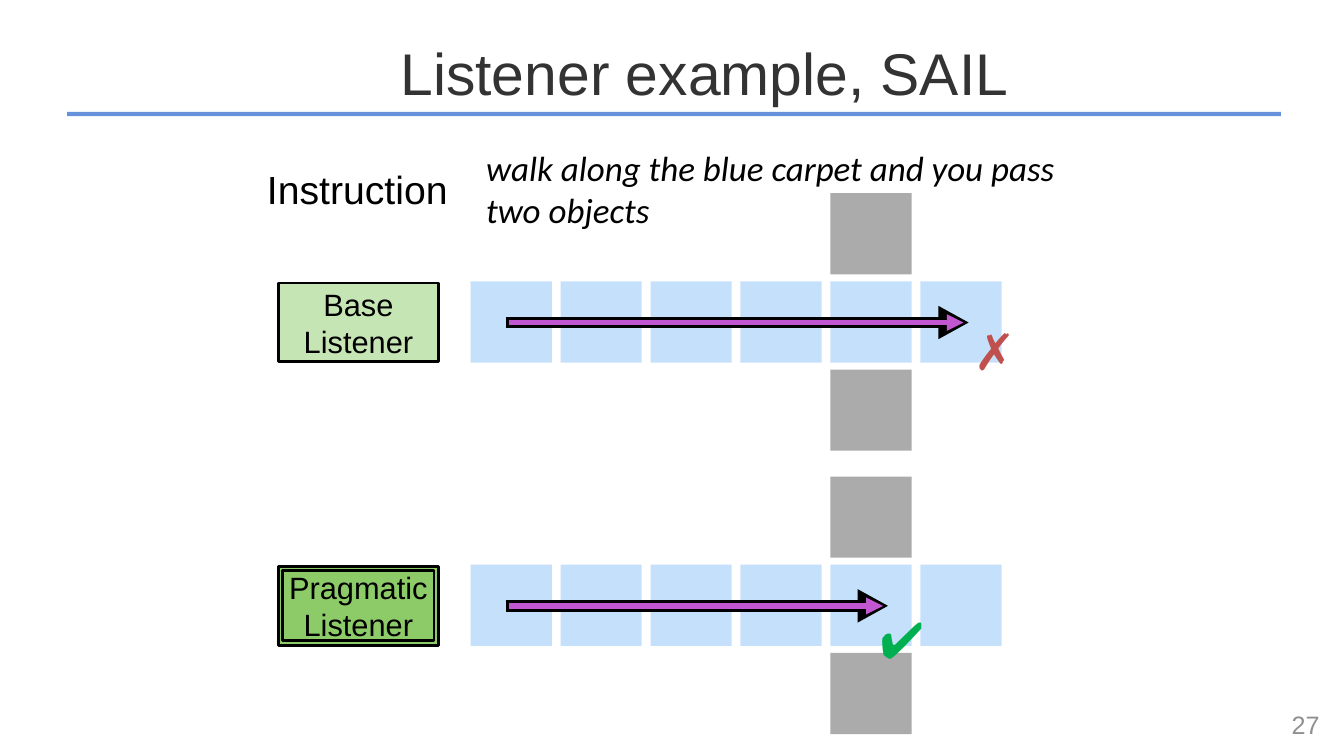
from dataclasses import dataclass
from typing import Any

import pptx
import pptx.dml.color
import pptx.enum.shapes
import pptx.enum.text
import pptx.oxml.ns
import pptx.oxml.xmlchemy
import pptx.util

Pt = pptx.util.Pt
RGBColor = pptx.dml.color.RGBColor
ALIGN = pptx.enum.text.PP_ALIGN
RECTANGLE = pptx.enum.shapes.MSO_SHAPE.RECTANGLE
STRAIGHT = pptx.enum.shapes.MSO_CONNECTOR.STRAIGHT

BLACK = RGBColor(0x00, 0x00, 0x00)
TITLE_GREY = RGBColor(0x33, 0x33, 0x33)
NUMBER_GREY = RGBColor(0x90, 0x90, 0x90)
RULE_BLUE = RGBColor(0x66, 0x92, 0xDC)
CARPET_BLUE = RGBColor(0xA6, 0xD1, 0xFA)
HALL_GREY = RGBColor(0x80, 0x80, 0x80)
BASE_GREEN = RGBColor(0xC6, 0xE5, 0xB4)
PRAGMATIC_GREEN = RGBColor(0x8D, 0xCB, 0x69)
PATH_PURPLE = RGBColor(0xC2, 0x58, 0xD1)
WRONG_RED = RGBColor(0xC0, 0x50, 0x4D)
RIGHT_GREEN = RGBColor(0x00, 0xB0, 0x50)

TILE = 58
TILE_PITCH = 64.25
CARPET_LEFT = 336.2
CARPET_TILES = 6
CROSSING = 4
HALL_OFFSET = 63
PATH_START = 361.4
PATH_DROP = 29.4


@dataclass(frozen=True)
class Box:
    left: float
    top: float
    width: float
    height: float

    def lengths(self) -> list[int]:
        return [Pt(v) for v in (self.left, self.top, self.width, self.height)]

    def inset(self, dx: float, dy: float) -> "Box":
        return Box(self.left + dx, self.top + dy, self.width - 2 * dx, self.height - 2 * dy)


@dataclass(frozen=True)
class Listener:
    label: str
    top: float
    fill: RGBColor
    framed: bool
    path_end: float
    verdict: str
    verdict_color: RGBColor
    verdict_box: Box


LISTENERS = [
    Listener("Base Listener", 201, BASE_GREEN, False, 688.3,
             "✗", WRONG_RED, Box(691.2, 224.6, 37.4, 51.8)),
    Listener("Pragmatic Listener", 403.4, PRAGMATIC_GREEN, True, 630.7,
             "✔", RIGHT_GREEN, Box(624.2, 429.8, 37.4, 51.8)),
]


def apply(target: Any, values: dict[str, Any]) -> None:
    for name, value in values.items():
        setattr(target, name, value)


def add_element(parent: Any, tag: str, **attributes: str) -> None:
    element = pptx.oxml.xmlchemy.OxmlElement(tag)
    for name, value in attributes.items():
        element.set(name, value)
    parent.append(element)


def write(shape: Any, lines: list[str], font: str, size: float, color: RGBColor,
          align: Any = ALIGN.CENTER, inset: float = 4.3, wrap: bool = True,
          bold: bool = False, italic: bool = False) -> None:
    frame = shape.text_frame
    apply(frame, {
        "word_wrap": wrap,
        "vertical_anchor": pptx.enum.text.MSO_ANCHOR.MIDDLE,
        "margin_left": Pt(inset), "margin_right": Pt(inset),
        "margin_top": Pt(4.3), "margin_bottom": Pt(4.3),
        "text": "\n".join(lines),
    })
    for paragraph in frame.paragraphs:
        paragraph.alignment = align
        for run in paragraph.runs:
            apply(run.font, {"name": font, "size": Pt(size), "bold": bold, "italic": italic})
            run.font.color.rgb = color


def add_text(slide: Any, box: Box, lines: list[str], font: str, size: float,
             color: RGBColor, **style: Any) -> None:
    write(slide.shapes.add_textbox(*box.lengths()), lines, font, size, color, **style)


def paint(shape: Any, fill: RGBColor, outline: float = 0, opacity: int = 100) -> None:
    shape.shadow.inherit = False
    shape.fill.solid()
    shape.fill.fore_color.rgb = fill
    if opacity < 100:
        color = shape._element.spPr.find(".//" + pptx.oxml.ns.qn("a:srgbClr"))
        add_element(color, "a:alpha", val=str(opacity * 1000))
    if outline:
        shape.line.color.rgb = BLACK
        shape.line.width = Pt(outline)
    else:
        shape.line.fill.background()


def add_rectangle(slide: Any, box: Box, fill: RGBColor, outline: float = 0,
                  opacity: int = 100) -> Any:
    rectangle = slide.shapes.add_shape(RECTANGLE, *box.lengths())
    paint(rectangle, fill, outline, opacity)
    return rectangle


def add_line(slide: Any, start: float, end: float, y: float, color: RGBColor,
             width: float, arrow: bool = False) -> None:
    line = slide.shapes.add_connector(STRAIGHT, Pt(start), Pt(y), Pt(end), Pt(y))
    line.line.color.rgb = color
    line.line.width = Pt(width)
    if arrow:
        add_element(line.get_or_add_ln(), "a:tailEnd", type="triangle")
    add_element(line._element.spPr, "a:effectLst")


def add_path(slide: Any, end: float, y: float) -> None:
    add_line(slide, PATH_START, end - 12.6, y, BLACK, 8)
    builder = slide.shapes.build_freeform(Pt(end + 3.6), Pt(y))
    builder.add_line_segments(
        [(Pt(end - 18), Pt(y + 11.9)), (Pt(end - 18), Pt(y - 11.9))], close=True)
    paint(builder.convert_to_shape(), BLACK)
    add_line(slide, PATH_START + 2.2, end, y, PATH_PURPLE, 4, arrow=True)


def add_tile(slide: Any, column: int, top: float, fill: RGBColor) -> None:
    left = CARPET_LEFT + column * TILE_PITCH
    add_rectangle(slide, Box(left, top, TILE, TILE), fill, opacity=66)


def add_listener(slide: Any, listener: Listener) -> None:
    for offset in (-HALL_OFFSET, HALL_OFFSET):
        add_tile(slide, CROSSING, listener.top + offset, HALL_GREY)
    for column in range(CARPET_TILES):
        add_tile(slide, column, listener.top, CARPET_BLUE)
    label_box = Box(198.7, listener.top + 1.2, 114.6, 56.3)
    label = add_rectangle(slide, label_box, listener.fill, 2)
    if listener.framed:
        label = add_rectangle(slide, label_box.inset(3.3, 3.2), listener.fill, 2)
    write(label, [listener.label], "Arial", 22, BLACK)
    add_text(slide, listener.verdict_box, [listener.verdict], "Calibri", 36,
             listener.verdict_color, wrap=False, bold=True)
    add_path(slide, listener.path_end, listener.top + PATH_DROP)


def main() -> None:
    deck = pptx.Presentation()
    apply(deck, {"slide_width": Pt(960), "slide_height": Pt(540)})
    slide = deck.slides.add_slide(deck.slide_layouts[6])

    add_rectangle(slide, Box(48, 80, 867, 3), RULE_BLUE)
    add_text(slide, Box(127.4, 11.5, 751.7, 79.2), ["Listener example, SAIL"],
             "Arial", 42, TITLE_GREY, inset=7.2)
    add_text(slide, Box(185, 113.8, 140.4, 41.8), ["Instruction"],
             "Arial", 28, BLACK, wrap=False)
    add_text(slide, Box(342.9, 100.1, 416.2, 68.4),
             ["walk along the blue carpet and you pass", "two objects"],
             "Calibri", 25, BLACK, align=ALIGN.LEFT, italic=True)
    for listener in LISTENERS:
        add_listener(slide, listener)
    add_text(slide, Box(725.8, 503.3, 223.9, 28.8), ["27"],
             "Arial", 18, NUMBER_GREY, align=ALIGN.RIGHT, inset=7.2)

    deck.save("out.pptx")


if __name__ == "__main__":
    main()
